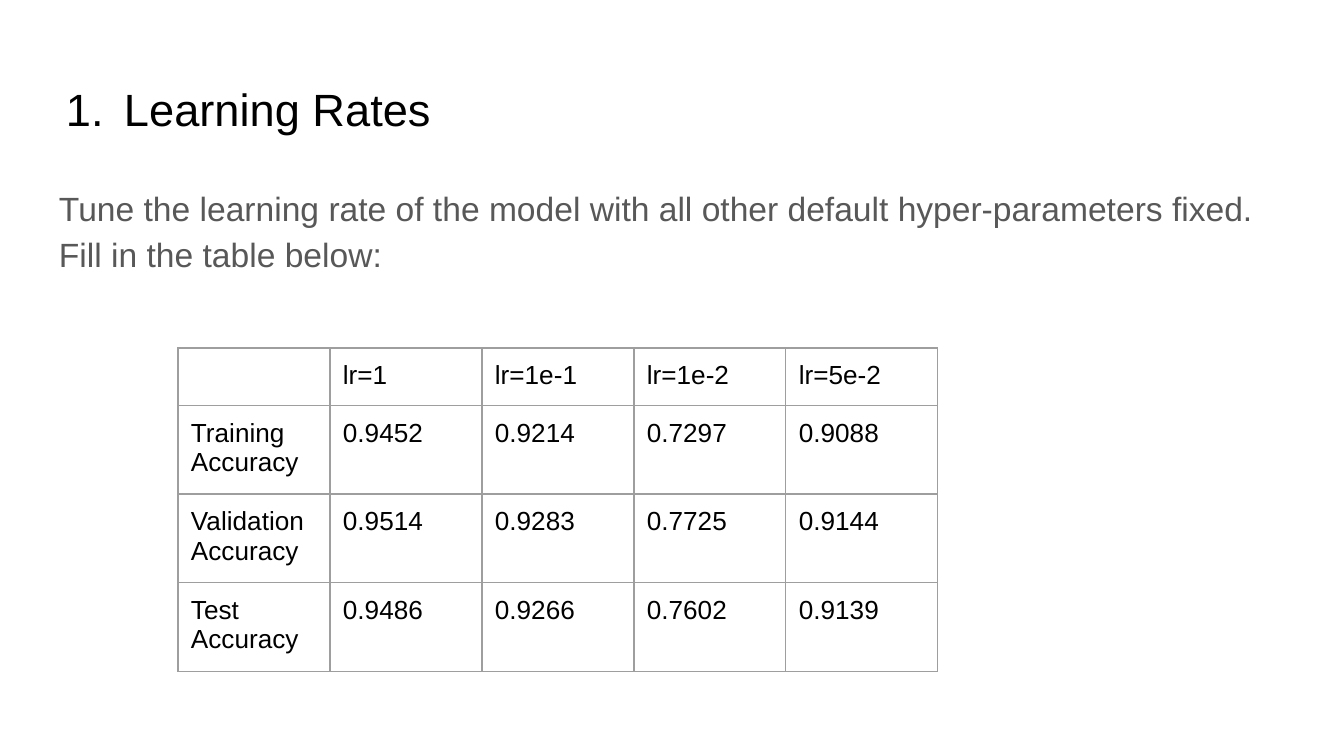
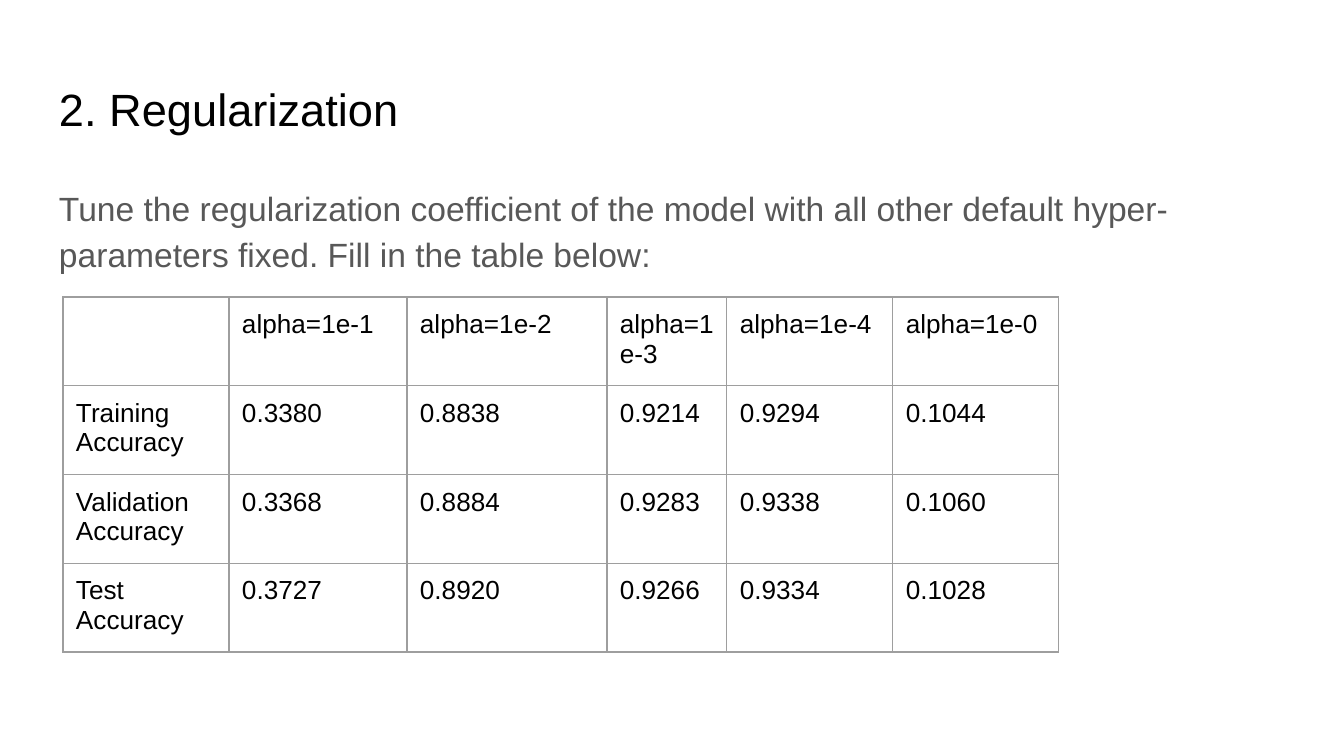
"""Build two slides of model accuracy tables."""
from lxml.etree import SubElement
from pptx import Presentation
from pptx.dml.color import RGBColor
from pptx.enum.text import MSO_ANCHOR as Anchor
from pptx.oxml.ns import qn
from pptx.util import Pt

SCALE = 914400 / 134.4
FONT = "Arial"
BLACK, GRAY, BORDER = "000000", "585858", "9E9E9E"
INSET = 13
LEFT, WIDTH = 46, 1252


def px(length):
    """Turn picture pixels into EMU."""
    return round(length * SCALE)


def color(value):
    """Turn a hex string into a colour."""
    return RGBColor.from_string(value)


def write(frame, text, size, ink=BLACK, spacing=None):
    """Write one paragraph per line of text with the given format."""
    for index, line in enumerate(text.split("\n")):
        paragraph = frame.add_paragraph() if index else frame.paragraphs[0]
        if spacing:
            paragraph.line_spacing = spacing
        if not line:
            SubElement(paragraph._p, qn("a:endParaRPr"), sz=str(size * 100))
            continue
        run = paragraph.add_run()
        run.text = line
        run.font.name = FONT
        run.font.size = Pt(size)
        run.font.color.rgb = color(ink)


def set_insets(holder):
    """Give a text frame or a cell equal margins."""
    holder.margin_left = holder.margin_right = px(INSET)
    holder.margin_top = holder.margin_bottom = px(INSET)


def add_text(slide, top, height, text, anchor=Anchor.TOP, **text_format):
    """Add a full-width wrapping text box and return its frame."""
    box = slide.shapes.add_textbox(px(LEFT), px(top), px(WIDTH), px(height))
    frame = box.text_frame
    frame.word_wrap = True
    frame.vertical_anchor = anchor
    set_insets(frame)
    write(frame, text, **text_format)
    return frame


def number_paragraph(paragraph, margin, hang):
    """Turn a paragraph into a numbered item with a hanging indent."""
    properties = paragraph._p.get_or_add_pPr()
    properties.set("marL", str(px(margin)))
    properties.set("indent", str(-px(hang)))
    bullet_color = SubElement(properties, qn("a:buClr"))
    SubElement(bullet_color, qn("a:srgbClr"), val=BLACK)
    SubElement(properties, qn("a:buFont"), typeface=FONT)
    SubElement(properties, qn("a:buAutoNum"), type="arabicPeriod")


def draw_borders(cell):
    """Draw a thin line on each side of a cell."""
    properties = cell._tc.get_or_add_tcPr()
    for side in ("lnL", "lnR", "lnT", "lnB"):
        line = SubElement(properties, qn(f"a:{side}"), w=str(Pt(0.75)))
        fill = SubElement(line, qn("a:solidFill"))
        SubElement(fill, qn("a:srgbClr"), val=BORDER)


def add_table(slide, left, top, widths, heights, rows):
    """Add a plain bordered table."""
    frame = slide.shapes.add_table(
        len(rows), len(widths), px(left), px(top), px(sum(widths)), px(sum(heights)))
    table = frame.table
    table.first_row = table.horz_banding = False
    for column, width in zip(table.columns, widths):
        column.width = px(width)
    for row, height, values in zip(table.rows, heights, rows):
        row.height = px(height)
        for cell, value in zip(row.cells, values):
            set_insets(cell)
            draw_borders(cell)
            cell.fill.background()
            write(cell.text_frame, value, size=14)


def add_page(presentation, title, body):
    """Add a slide with title and body; return it with the title frame."""
    slide = presentation.slides.add_slide(presentation.slide_layouts[6])
    title_frame = add_text(slide, 66, 85, title, anchor=Anchor.MIDDLE, size=24.2)
    add_text(slide, 169, 503, body, size=18, ink=GRAY, spacing=1.15)
    return slide, title_frame


def add_learning_rates(presentation):
    """Build the learning rate slide."""
    slide, title = add_page(
        presentation, "Learning Rates",
        "Tune the learning rate of the model with all other default "
        "hyper-parameters fixed. Fill in the table below:")
    number_paragraph(title.paragraphs[0], margin=65, hang=58)
    add_table(slide, 178, 348, [152] * 5, [56, 85, 86, 85], [
        ["", "lr=1", "lr=1e-1", "lr=1e-2", "lr=5e-2"],
        ["Training\nAccuracy", "0.9452", "0.9214", "0.7297", "0.9088"],
        ["Validation Accuracy", "0.9514", "0.9283", "0.7725", "0.9144"],
        ["Test Accuracy", "0.9486", "0.9266", "0.7602", "0.9139"],
    ])


def add_regularization(presentation):
    """Build the regularization slide."""
    slide, _ = add_page(
        presentation, "2. Regularization",
        "Tune the regularization coefficient of the model with all other default "
        "hyper-parameters fixed. Fill in the table below:")
    add_table(slide, 63, 297, [166, 178, 200, 120, 166, 166], [86, 85, 86, 85], [
        ["", "alpha=1e-1", "alpha=1e-2", "alpha=1e-3", "alpha=1e-4", "alpha=1e-0"],
        ["Training Accuracy", "0.3380", "0.8838", "0.9214", "0.9294", "0.1044"],
        ["Validation Accuracy", "0.3368", "0.8884", "0.9283", "0.9338", "0.1060"],
        ["Test Accuracy", "0.3727", "0.8920", "0.9266", "0.9334", "0.1028"],
    ])


def main():
    """Build and save the presentation."""
    presentation = Presentation()
    presentation.slide_width = px(1344)
    presentation.slide_height = px(756)
    add_learning_rates(presentation)
    add_regularization(presentation)
    presentation.save("out.pptx")


main()
